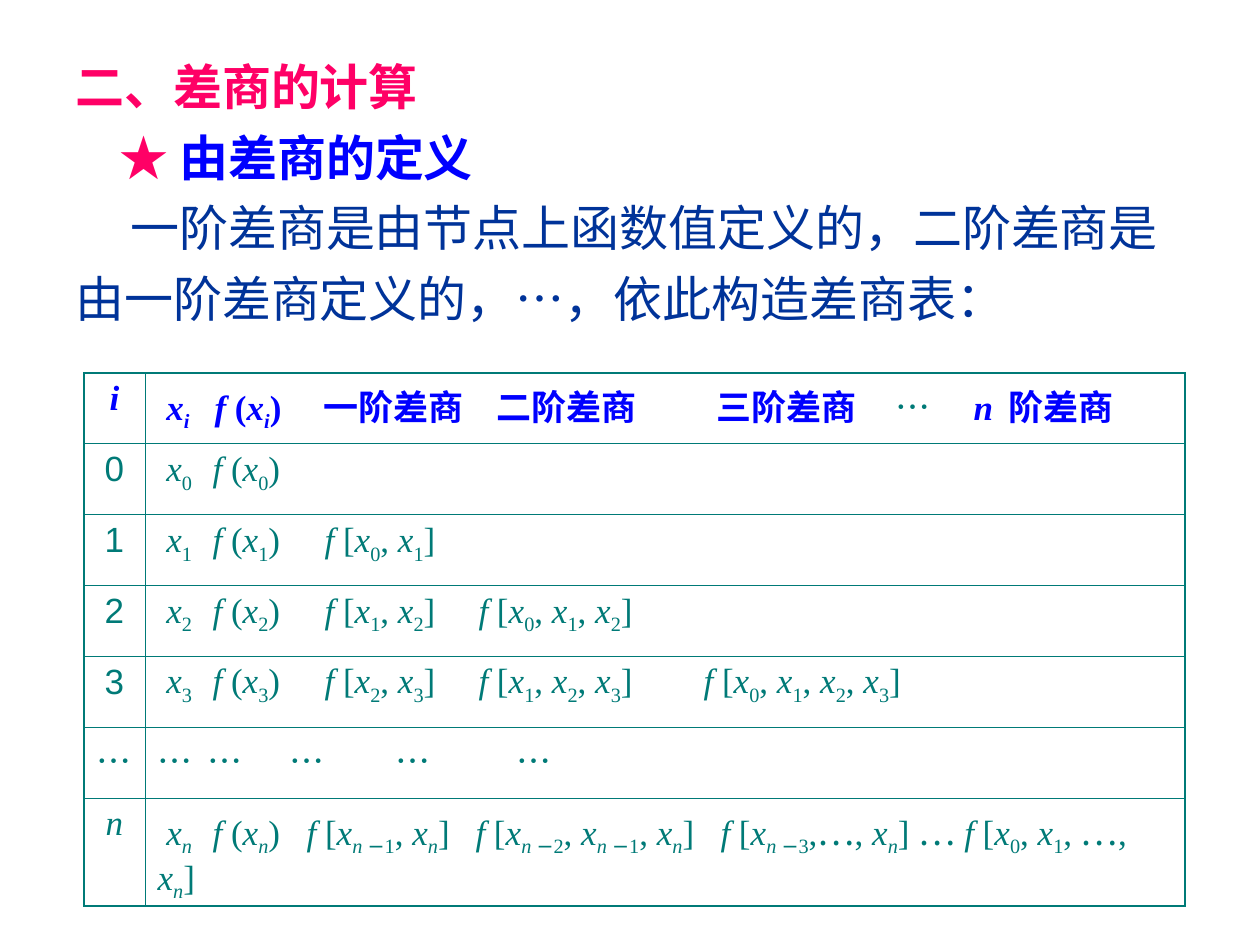
from itertools import groupby

from lxml import etree
from pptx import Presentation, util as u
from pptx.dml import color
from pptx.enum import text
from pptx.oxml import ns

SERIF = "Times New Roman"
CJK = "Noto Sans CJK SC"
SYMBOL_FONTS = {"…": CJK, "★": CJK, "−": "Cabin"}
TEAL, BLUE, NAVY, PINK = "007A77", "0000FF", "003399", "FF0066"
ROW_STOPS = [55, 167, 321, 546]

TABLE_ROWS = [
    ("i", " x{i}\tf (x{i})\t一阶差商\t二阶差商\t三阶差商\t…\tn\t阶差商",
     [57, 166, 339, 559, 738, 816, 851]),
    ("0", " x{0}\tf (x{0})", ROW_STOPS),
    ("1", " x{1}\tf (x{1})\tf [x{0}, x{1}]", ROW_STOPS),
    ("2", " x{2}\tf (x{2})\tf [x{1}, x{2}]\tf [x{0}, x{1}, x{2}]", ROW_STOPS),
    ("3", " x{3}\tf (x{3})\tf [x{2}, x{3}]\tf [x{1}, x{2}, x{3}]"
          "\tf [x{0}, x{1}, x{2}, x{3}]", ROW_STOPS),
    ("…", "…\t…\t…\t…\t…", [50, 132, 238, 359]),
    ("n", " x{n}\tf (x{n})\tf [x{n −1}, x{n}]\tf [x{n −2}, x{n −1}, x{n}]"
          "\tf [x{n −3},…, x{n}] … f [x{0}, x{1}, …, x{n}]",
     [55, 149, 318, 563]),
]


def px(n):
    return u.Emu(n * 914400 // 126)


def rgb(value):
    return color.RGBColor.from_string(value)


def add_child(parent, tag, **attrs):
    return etree.SubElement(parent, ns.qn(tag), attrs)


def styled_chars(markup, font):
    sub = False
    for ch in markup:
        if ch in "{}":
            sub = ch == "{"
        else:
            yield ch, (SYMBOL_FONTS.get(ch, font), ch in "xfni", sub)


def add_text(p, markup, size, hue, bold=False, font=SERIF):
    for style, chars in groupby(styled_chars(markup, font), lambda c: c[1]):
        name, italic, sub = style
        r = p.add_run()
        r.text = "".join(ch for ch, _ in chars)
        r.font.size = u.Pt(size)
        r.font.bold = bold
        r.font.italic = italic
        r.font.color.rgb = rgb(hue)
        r.font.name = name
        props = r.font._element
        add_child(props, "a:ea", typeface=CJK)
        if sub:
            props.set("baseline", "-25000")


def set_indent(p, first):
    props = p._p.get_or_add_pPr()
    props.set("marL", "0")
    props.set("indent", str(px(first)))


def set_tabs(p, stops):
    tabs = add_child(p._p.get_or_add_pPr(), "a:tabLst")
    for stop in stops:
        add_child(tabs, "a:tab", pos=str(px(stop)), algn="l")


def set_borders(cell, widths):
    props = cell._tc.get_or_add_tcPr()
    for side, width in zip("LRTB", widths):
        line = add_child(props, f"a:ln{side}", w=str(u.Pt(width)))
        fill = add_child(line, "a:solidFill")
        add_child(fill, "a:srgbClr", val=TEAL)
    cell.fill.background()


def add_intro(s):
    tf = s.shapes.add_textbox(px(63), px(38), px(1133), px(296)).text_frame
    tf.word_wrap = True
    tf.vertical_anchor = text.MSO_ANCHOR.MIDDLE
    paragraphs = [
        (0, [("二、差商的计算", PINK, True)]),
        (44, [("★ ", PINK, True), ("由差商的定义", BLUE, True)]),
        (55, [("一阶差商是由节点上函数值定义的，二阶差商是"
               "由一阶差商定义的，…，依此构造差商表：", NAVY, False)]),
    ]
    for i, (indent, parts) in enumerate(paragraphs):
        p = tf.add_paragraph() if i else tf.paragraphs[0]
        p.line_spacing = 1.2
        set_indent(p, indent)
        for words, hue, bold in parts:
            add_text(p, words, 28, hue, bold)


def add_difference_table(s):
    count = len(TABLE_ROWS)
    frame = s.shapes.add_table(count, 2, px(84), px(373), px(1101), px(496))
    table = frame.table
    table.first_row = table.horz_banding = False
    table.columns[0].width = px(61)
    table.columns[1].width = px(1040)
    for i, (label, entry, stops) in enumerate(TABLE_ROWS):
        header = i == 0
        hue = BLUE if header else TEAL
        top = 1.08 if header else 0.45
        bottom = 1.08 if i == count - 1 else 0.45
        left, right = table.cell(i, 0), table.cell(i, 1)
        set_borders(left, (1.08, 0.45, top, bottom))
        set_borders(right, (0.45, 1.08, top, bottom))

        p = left.text_frame.paragraphs[0]
        p.alignment = text.PP_ALIGN.CENTER
        add_text(p, label, 20, hue, header, "Arial" if label.isdigit() else SERIF)

        right.margin_right = px(20)
        p = right.text_frame.paragraphs[0]
        set_tabs(p, stops)
        add_text(p, entry, 20, hue, header)

    for r in table.cell(0, 1).text_frame.paragraphs[0].runs:
        if r.text == "…":
            r.font.bold = False
            r.font.color.rgb = rgb(TEAL)


def main():
    prs = Presentation()
    prs.slide_width, prs.slide_height = px(1260), px(945)
    s = prs.slides.add_slide(prs.slide_layouts[6])
    add_intro(s)
    add_difference_table(s)
    prs.save("out.pptx")


if __name__ == "__main__":
    main()
